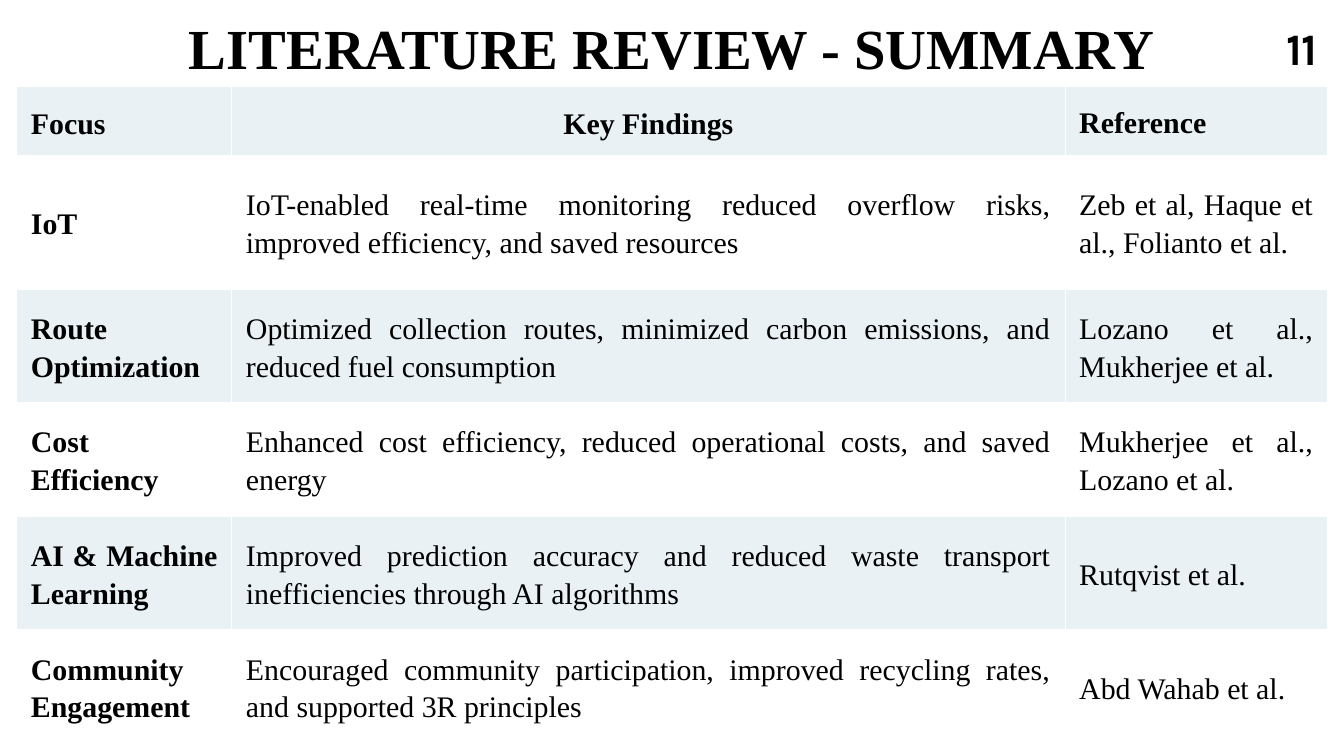
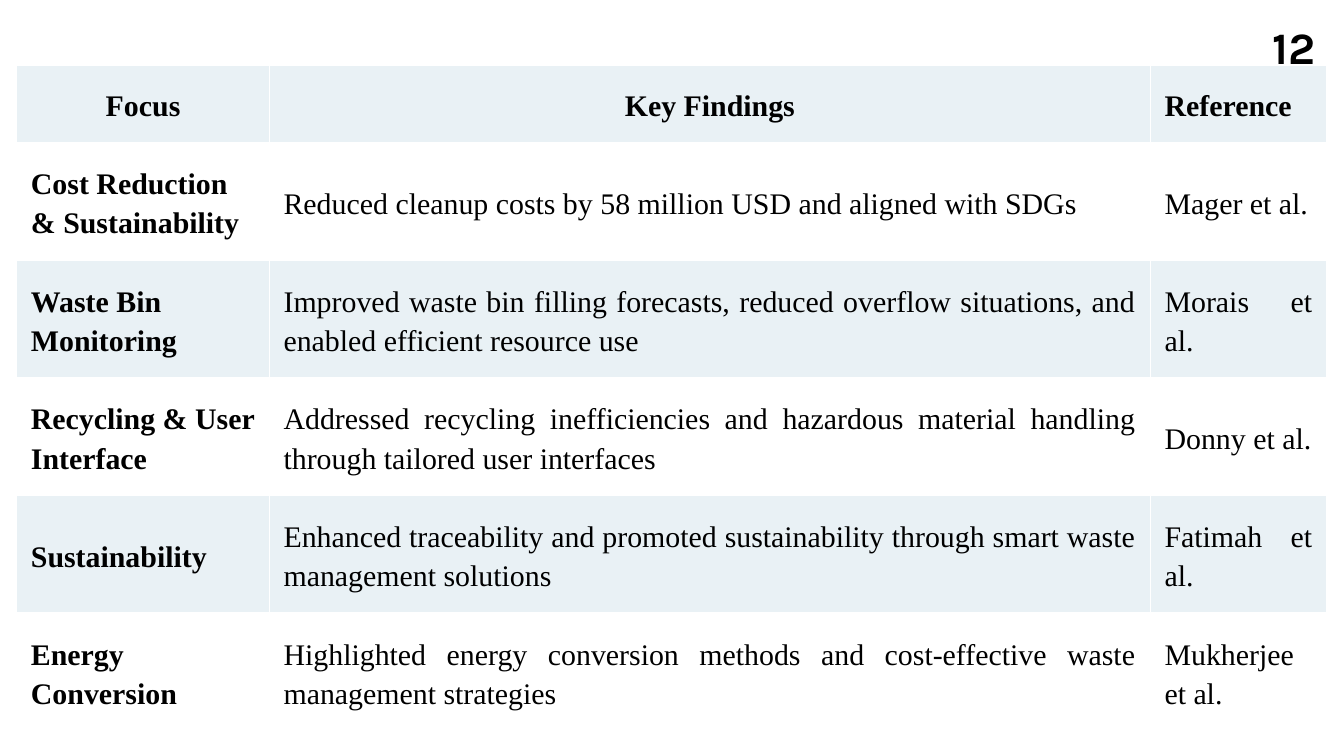
from lxml import etree
from pptx import Presentation
from pptx.dml.color import RGBColor
from pptx.enum.text import MSO_ANCHOR, MSO_AUTO_SIZE, PP_ALIGN
from pptx.oxml.ns import qn
from pptx.util import Emu, Pt

LEFT, MID, FULL = PP_ALIGN.LEFT, PP_ALIGN.CENTER, PP_ALIGN.JUSTIFY
TOP, CENTRE = MSO_ANCHOR.TOP, MSO_ANCHOR.MIDDLE
GROW = MSO_AUTO_SIZE.SHAPE_TO_FIT_TEXT
TITLED, BLANK = 5, 6
HEADS = ["Focus", "Key Findings", "Reference"]

METHODS = [
    ["IoT", "IoT-enabled real-time monitoring reduced overflow risks, improved efficiency, and saved resources",
     "Zeb et al, Haque et al., Folianto et al."],
    ["Route Optimization", "Optimized collection routes, minimized carbon emissions, and reduced fuel consumption",
     "Lozano et al., Mukherjee et al."],
    ["Cost Efficiency", "Enhanced cost efficiency, reduced operational costs, and saved energy",
     "Mukherjee et al., Lozano et al."],
    ["AI & Machine Learning",
     "Improved prediction accuracy and reduced waste transport inefficiencies through AI algorithms",
     "Rutqvist et al."],
    ["Community Engagement",
     "Encouraged community participation, improved recycling rates, and supported 3R principles",
     "Abd Wahab et al."],
]

IMPACTS = [
    ["Cost Reduction & Sustainability", "Reduced cleanup costs by 58 million USD and aligned with SDGs",
     "Mager et al."],
    ["Waste Bin Monitoring",
     "Improved waste bin filling forecasts, reduced overflow situations, and enabled efficient resource use",
     "Morais et al."],
    ["Recycling & User Interface",
     "Addressed recycling inefficiencies and hazardous material handling through tailored user interfaces",
     "Donny et al."],
    ["Sustainability",
     "Enhanced traceability and promoted sustainability through smart waste management solutions",
     "Fatimah et al."],
    ["Energy Conversion", "Highlighted energy conversion methods and cost-effective waste management strategies",
     "Mukherjee et al."],
]


def px(size):
    """Turn px, a hundred to the inch, into EMU."""
    return Emu(size * 9144)


def tint(code):
    """Turn a hex string into a colour."""
    return RGBColor.from_string(code)


class Deck:
    """Hold the shared style and the current slide."""

    INK, PAPER, BAND = "000000", "FFFFFF", "E9F1F5"
    SERIF, SANS = "Times New Roman", "Karla"
    PAD = 21

    def __init__(self):
        """Start an empty deck of the right size."""
        self.prs = Presentation()
        self.prs.slide_width, self.prs.slide_height = px(2000), px(1125)
        self.slide = None

    def page(self, layout):
        """Add a slide with a plain background."""
        self.slide = self.prs.slides.add_slide(self.prs.slide_layouts[layout])
        fill = self.slide.background.fill
        fill.solid()
        fill.fore_color.rgb = tint(self.PAPER)

    def label(self, frame, text, size, face, lead, align, bold=True):
        """Set the text of a frame and format its paragraph."""
        frame.text = text
        para = frame.paragraphs[0]
        para.alignment, para.line_spacing = align, Pt(lead)
        font = para.runs[0].font
        font.size, font.name, font.bold = Pt(size), face, bold
        font.color.rgb = tint(self.INK)

    def fit(self, shape, box):
        """Place a text shape and clear its margins."""
        shape.left, shape.top, shape.width, shape.height = map(px, box)
        frame = shape.text_frame
        frame.margin_left = frame.margin_right = 0
        frame.margin_top = frame.margin_bottom = 0
        frame.word_wrap, frame.auto_size = True, GROW
        frame.vertical_anchor = TOP
        return frame

    def title(self, text):
        """Fill the title placeholder."""
        frame = self.fit(self.slide.shapes.title, (162, 2, 1675, 109))
        self.label(frame, text, 60.6, self.SERIF, 84.9, MID)

    def number(self, text, box):
        """Add the page number."""
        shape = self.slide.shapes.add_textbox(0, 0, 0, 0)
        self.label(self.fit(shape, box), text, 48, self.SANS, 94.7, MID)

    def border(self, cell):
        """Draw thin borders round a cell."""
        props = cell._tc.get_or_add_tcPr()
        for side in ("lnL", "lnR", "lnT", "lnB"):
            line = etree.SubElement(props, qn("a:" + side), w=str(Pt(1)))
            fill = etree.SubElement(line, qn("a:solidFill"))
            etree.SubElement(fill, qn("a:srgbClr"), val=self.PAPER)

    def cell(self, cell, text, lead, align, bold, shade):
        """Style and fill one table cell."""
        self.border(cell)
        cell.fill.solid()
        cell.fill.fore_color.rgb = tint(shade)
        cell.vertical_anchor = CENTRE
        cell.margin_left = cell.margin_right = px(self.PAD)
        cell.margin_top = cell.margin_bottom = px(self.PAD)
        self.label(cell.text_frame, text, 32, self.SERIF, lead, align, bold)

    def table(self, top, rows, cols, highs, heads, leads, body, lead):
        """Add a banded table with a bold head row and first column."""
        rows = [HEADS] + rows
        shape = self.slide.shapes.add_table(
            len(rows), len(cols), px(25), px(top), px(sum(cols)), px(sum(highs)))
        grid = shape.table
        grid.first_row = grid.horz_banding = False
        for col, wide in zip(grid.columns, cols):
            col.width = px(wide)
        for r, (row, high) in enumerate(zip(rows, highs)):
            grid.rows[r].height = px(high)
            shade = self.PAPER if r % 2 else self.BAND
            aligns = body if r else heads
            for c, text in enumerate(row):
                space = lead if r else leads[c]
                self.cell(grid.cell(r, c), text, space, aligns[c], r == 0 or c == 0, shade)


def main():
    """Build both slides and save them."""
    deck = Deck()
    deck.page(TITLED)
    deck.table(129, METHODS, [320, 1240, 390], [99, 199] + [169] * 4,
               [FULL, MID, FULL], [43.4, 42, 40.6], [FULL] * 3, 40.6)
    deck.title("LITERATURE REVIEW - SUMMARY")
    deck.number("11", (1877, -21, 121, 117))

    deck.page(BLANK)
    deck.table(97, IMPACTS, [376, 1311, 262], [115] + [175] * 5,
               [MID, MID, FULL], [42] * 3, [LEFT, FULL, FULL], 42)
    deck.number("12", (1876, -22, 99, 119))
    deck.prs.save("out.pptx")


if __name__ == "__main__":
    main()
